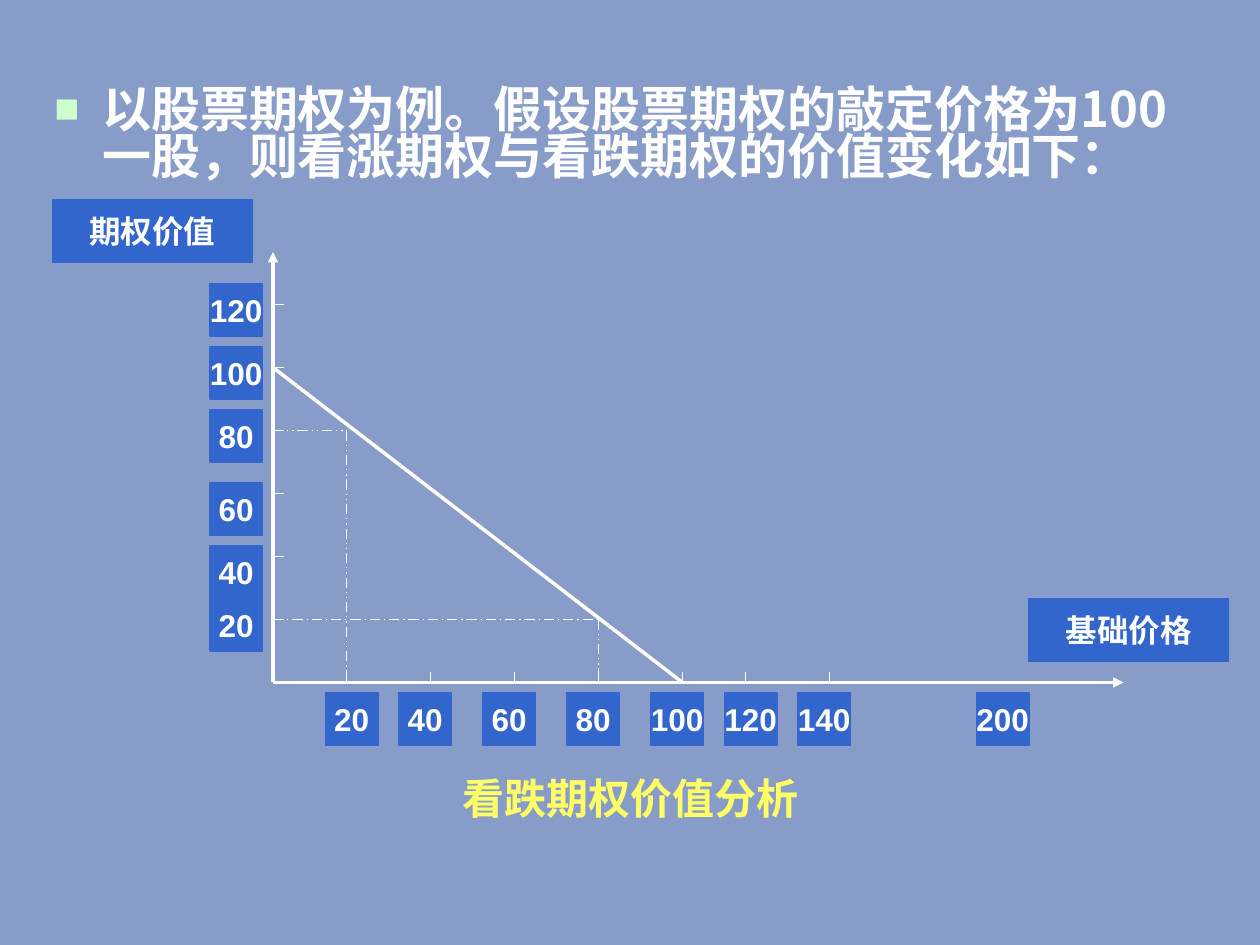
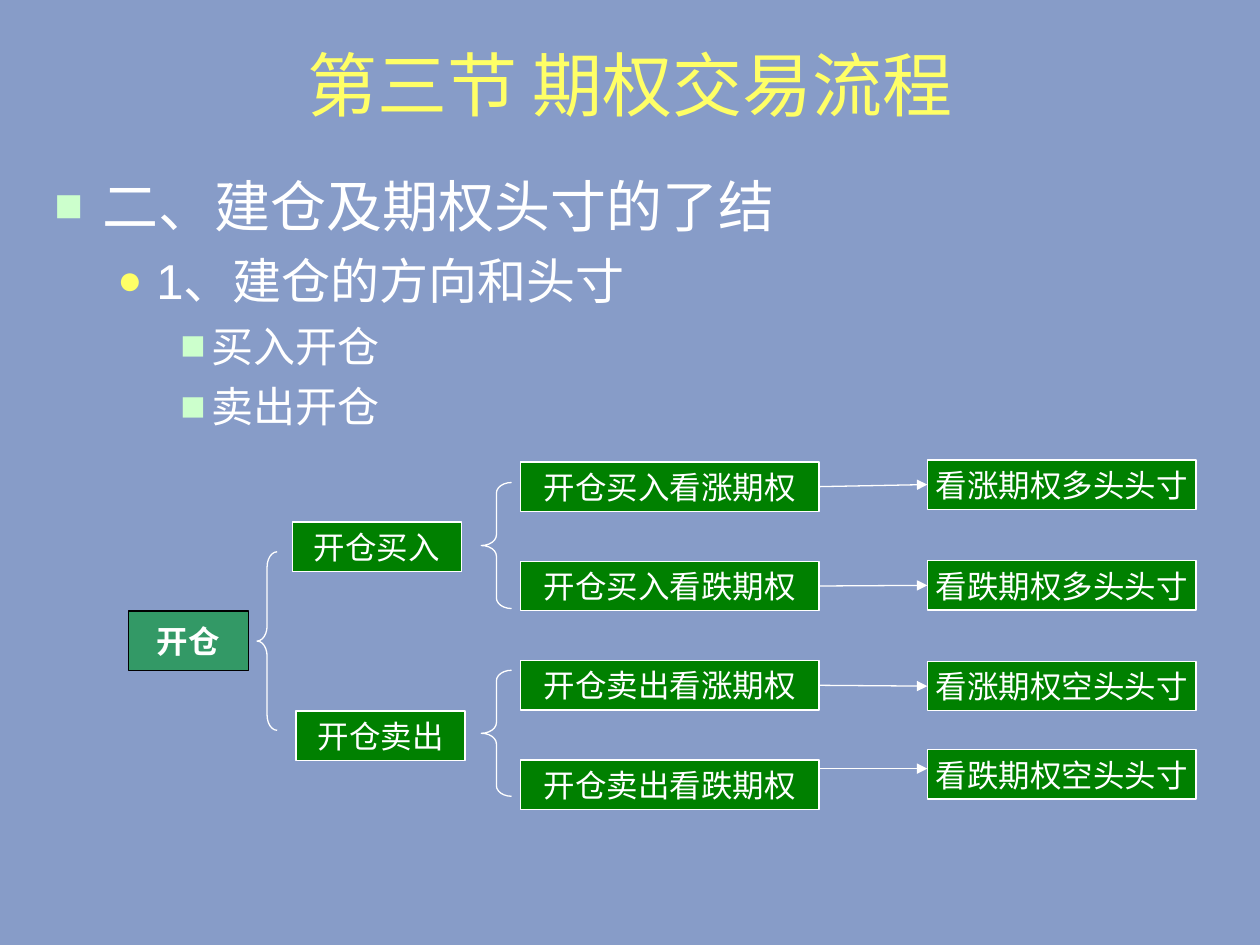
from lxml.etree import SubElement
from pptx import Presentation
from pptx.dml.color import RGBColor
from pptx.enum.dml import MSO_LINE
from pptx.enum.shapes import MSO_CONNECTOR, MSO_SHAPE
from pptx.enum.text import MSO_ANCHOR, PP_ALIGN
from pptx.oxml.ns import qn
from pptx.util import Inches, Pt

WHITE = RGBColor(0xFF, 0xFF, 0xFF)
BLACK = RGBColor(0x00, 0x00, 0x00)
BACKDROP = RGBColor(0x87, 0x9C, 0xC8)
YELLOW = RGBColor(0xFF, 0xFF, 0x66)
MINT = RGBColor(0xCC, 0xFF, 0xCC)
BLUE = RGBColor(0x33, 0x66, 0xCC)
GREEN = RGBColor(0x00, 0x80, 0x00)
SEA_GREEN = RGBColor(0x33, 0x99, 0x66)

LATIN, CJK = "Arial", "Noto Sans CJK SC"
COLUMNS, ROWS = 120, 90
CELL = Inches(10) // COLUMNS

# level: size, left margin, hanging indent, bullet, bullet colour, bullet percent, space before
BULLETS = (
    (32, 0.38, 0.38, "■", MINT, 85, 8),
    (28, 0.81, 0.31, "●", YELLOW, 85, 7),
    (24, 1.25, 0.25, "■", MINT, 100, 6),
)


def cells(*counts):
    """Turn counts of grid cells into lengths."""
    return [round(count * CELL) for count in counts]


def style(paragraph, size, color=WHITE, bold=False, latin=LATIN):
    """Set the font of a whole paragraph."""
    font = paragraph.font
    font.size, font.bold, font.name = Pt(size), bold, latin
    font.color.rgb = color
    defaults = paragraph._p.pPr.find(qn("a:defRPr"))
    SubElement(defaults, qn("a:ea"), typeface=CJK)


def add_bullet(paragraph, level):
    """Give a paragraph the bullet and indents of its level."""
    _, margin, hanging, mark, color, percent, _ = BULLETS[level]
    properties = paragraph._p.get_or_add_pPr()
    properties.set("marL", str(Inches(margin)))
    properties.set("indent", str(-Inches(hanging)))
    tint = SubElement(properties, qn("a:buClr"))
    SubElement(tint, qn("a:srgbClr"), val=str(color))
    SubElement(properties, qn("a:buSzPct"), val=str(percent * 1000))
    SubElement(properties, qn("a:buFont"), typeface=LATIN)
    SubElement(properties, qn("a:buChar"), char=mark)


def add_title(slide, text, top, height, size, bold=False):
    """Write a centred yellow title across the slide."""
    frame = slide.shapes.add_textbox(*cells(4, top, 112, height)).text_frame
    frame.word_wrap = True
    frame.vertical_anchor = MSO_ANCHOR.MIDDLE
    paragraph = frame.paragraphs[0]
    paragraph.text = text
    paragraph.alignment = PP_ALIGN.CENTER
    style(paragraph, size, YELLOW, bold)


def add_body(slide, items, top, height, size=None, spacing=None, **font):
    """Write a bulleted list of (level, text) items."""
    frame = slide.shapes.add_textbox(*cells(4, top, 112, height)).text_frame
    frame.word_wrap = True
    for index, (level, text) in enumerate(items):
        paragraph = frame.add_paragraph() if index else frame.paragraphs[0]
        paragraph.text = text
        paragraph.level = level
        add_bullet(paragraph, level)
        if index:
            paragraph.space_before = Pt(BULLETS[level][-1])
        if spacing:
            paragraph.line_spacing = spacing
        style(paragraph, size or BULLETS[level][0], **font)


def add_box(slide, text, left, top, width, height, fill, border, bold=False):
    """Draw a filled rectangle with a centred label."""
    box = slide.shapes.add_shape(MSO_SHAPE.RECTANGLE, *cells(left, top, width, height))
    box.shadow.inherit = False
    box.fill.solid()
    box.fill.fore_color.rgb = fill
    box.line.color.rgb = border
    box.line.width = Pt(0.75)
    frame = box.text_frame
    frame.word_wrap = False
    frame.vertical_anchor = MSO_ANCHOR.MIDDLE
    paragraph = frame.paragraphs[0]
    paragraph.text = text
    paragraph.alignment = PP_ALIGN.CENTER
    style(paragraph, 18, bold=bold)
    return box


def add_line(slide, start, end, width=0.75, dash=None, arrow=False):
    """Draw a straight white line between two grid points."""
    line = slide.shapes.add_connector(MSO_CONNECTOR.STRAIGHT, *cells(*start, *end))
    line.line.color.rgb = WHITE
    line.line.width = Pt(width)
    if dash:
        line.line.dash_style = dash
    if arrow:
        SubElement(line.line._get_or_add_ln(), qn("a:tailEnd"), type="triangle")
    SubElement(line._element.spPr, qn("a:effectLst"))
    return line


def add_brace(slide, left, top, width, height, curve):
    """Draw a white brace that opens to the right."""
    brace = slide.shapes.add_shape(MSO_SHAPE.LEFT_BRACE, *cells(left, top, width, height))
    brace.shadow.inherit = False
    brace.fill.background()
    brace.line.color.rgb = WHITE
    brace.line.width = Pt(0.75)
    brace.adjustments[0] = curve


def build_put_value(slide):
    """Plot the value of a put option against the underlying price."""
    axis_x, axis_y = 26, 65
    add_body(slide, [(0, "以股票期权为例。假设股票期权的敲定价格为100一股，则看涨期权与看跌期权的价值变化如下：")],
             8, 11, size=28, spacing=0.8, bold=True, latin=CJK)
    add_line(slide, (axis_x, axis_y), (axis_x, 24), 1.75, arrow=True)
    add_line(slide, (axis_x, axis_y), (107, axis_y), 1.75, arrow=True)
    for tick in (33, 41, 49, 57, 65, 71, 79):
        add_line(slide, (tick, axis_y - 1), (tick, axis_y))
    for tick in range(29, 60, 6):
        add_line(slide, (axis_x, tick), (axis_x + 1, tick))

    prices = {20: 31, 40: 38, 60: 46, 80: 54, 100: 62, 120: 69, 140: 76, 200: 93}
    values = {120: 27, 100: 33, 80: 39, 60: 46, 40: 52, 20: 57}
    labels = [(str(price), left, axis_y + 1, 5, 5) for price, left in prices.items()]
    labels += [(str(value), axis_x - 6, top, 5, 5) for value, top in values.items()]
    labels += [("基础价格", 98, 57, 19, 6), ("期权价值", 5, 19, 19, 6)]
    for label in labels:
        add_box(slide, *label, BLUE, BLUE, bold=True)

    add_line(slide, (axis_x, 35), (65, axis_y), 2)
    for price, value, dash in ((33, 41, MSO_LINE.DASH_DOT_DOT), (57, 59, MSO_LINE.LONG_DASH_DOT)):
        add_line(slide, (axis_x, value), (price, value), dash=dash)
        add_line(slide, (price, value), (price, axis_y), dash=MSO_LINE.DASH_DOT_DOT)
    add_title(slide, "看跌期权价值分析", 73, 6, 24, bold=True)


def build_opening_flow(slide):
    """Show how opening trades lead to option positions."""
    add_title(slide, "第三节 期权交易流程", 3, 9.84, 40)
    add_body(slide, [(0, "二、建仓及期权头寸的了结"), (1, "1、建仓的方向和头寸"),
                     (2, "买入开仓"), (2, "卖出开仓")], 15.72, 64.32)
    height = 4.7
    add_box(slide, "开仓", 12.24, 58.2, 11.4, 5.64, SEA_GREEN, BLACK, bold=True)
    for side, left, top in (("买入", 27.84, 49.7), ("卖出", 28.2, 67.7)):
        add_box(slide, "开仓" + side, left, top, 16.1, height, GREEN, WHITE)

    trades = (("买入看涨", "看涨期权多头", 43.8), ("买入看跌", "看跌期权多头", 53.4),
              ("卖出看涨", "看涨期权空头", 63), ("卖出看跌", "看跌期权空头", 71.4))
    for index, (trade, holding, top) in enumerate(trades):
        action = add_box(slide, f"开仓{trade}期权", 49.6, 44 + 9.46 * index, 28.4, height, GREEN, WHITE)
        position = add_box(slide, holding + "头寸", 88.32, top, 25.6, height, GREEN, WHITE)
        arrow = add_line(slide, (78, 73.2), (88.32, 73.2), arrow=True)
        if index < 3:
            arrow.begin_connect(action, 3)
            arrow.end_connect(position, 1)

    add_brace(slide, 24.48, 52.56, 1.92, 17, 0.75)
    for top in (45.96, 63.84):
        add_brace(slide, 45.84, top, 2.88, 12, 0.35)


def main():
    """Build and save the two slides."""
    deck = Presentation()
    deck.slide_width, deck.slide_height = cells(COLUMNS, ROWS)
    backdrop = deck.slide_master.background.fill
    backdrop.solid()
    backdrop.fore_color.rgb = BACKDROP
    for build in (build_put_value, build_opening_flow):
        build(deck.slides.add_slide(deck.slide_layouts[6]))
    deck.save("out.pptx")


if __name__ == "__main__":
    main()
